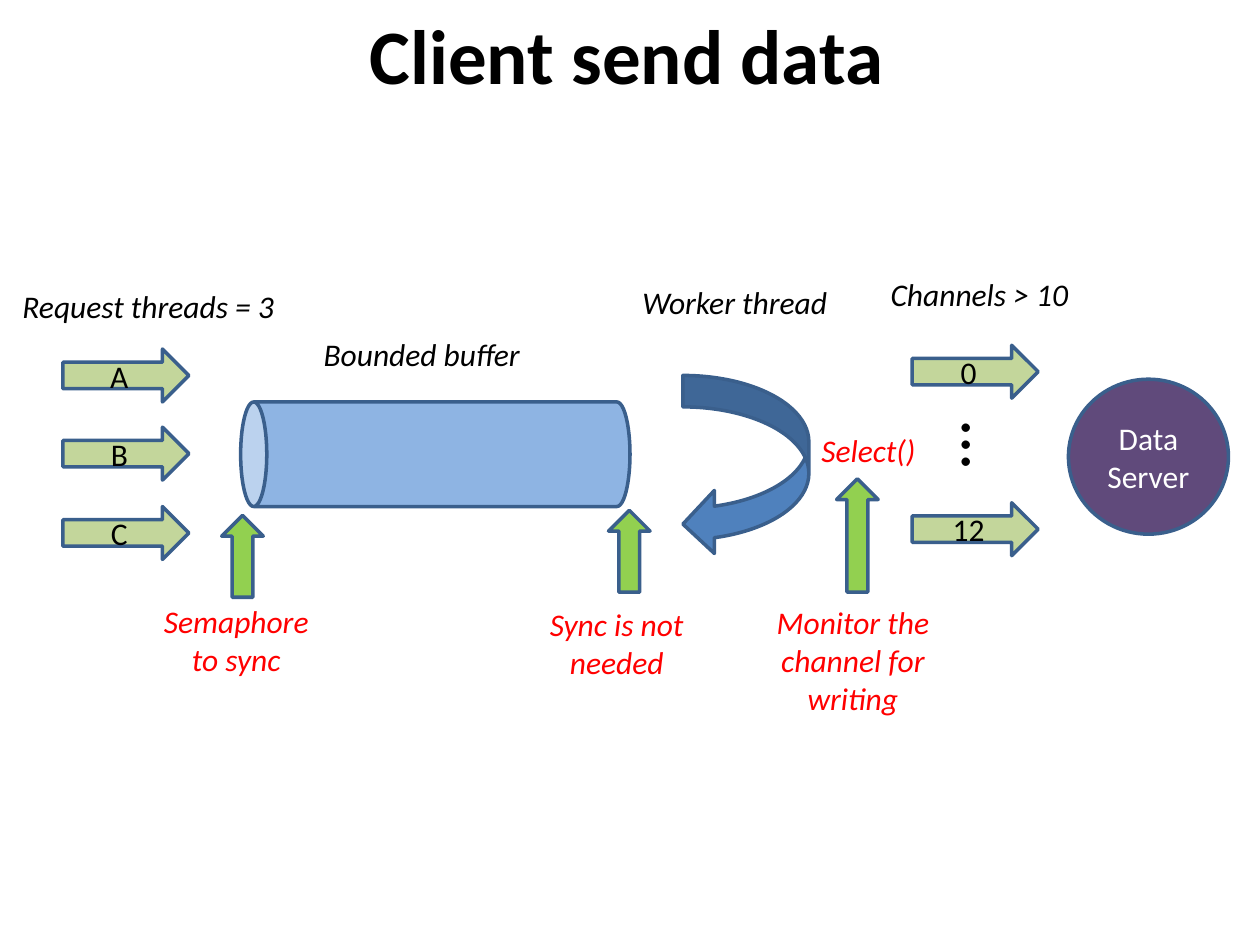
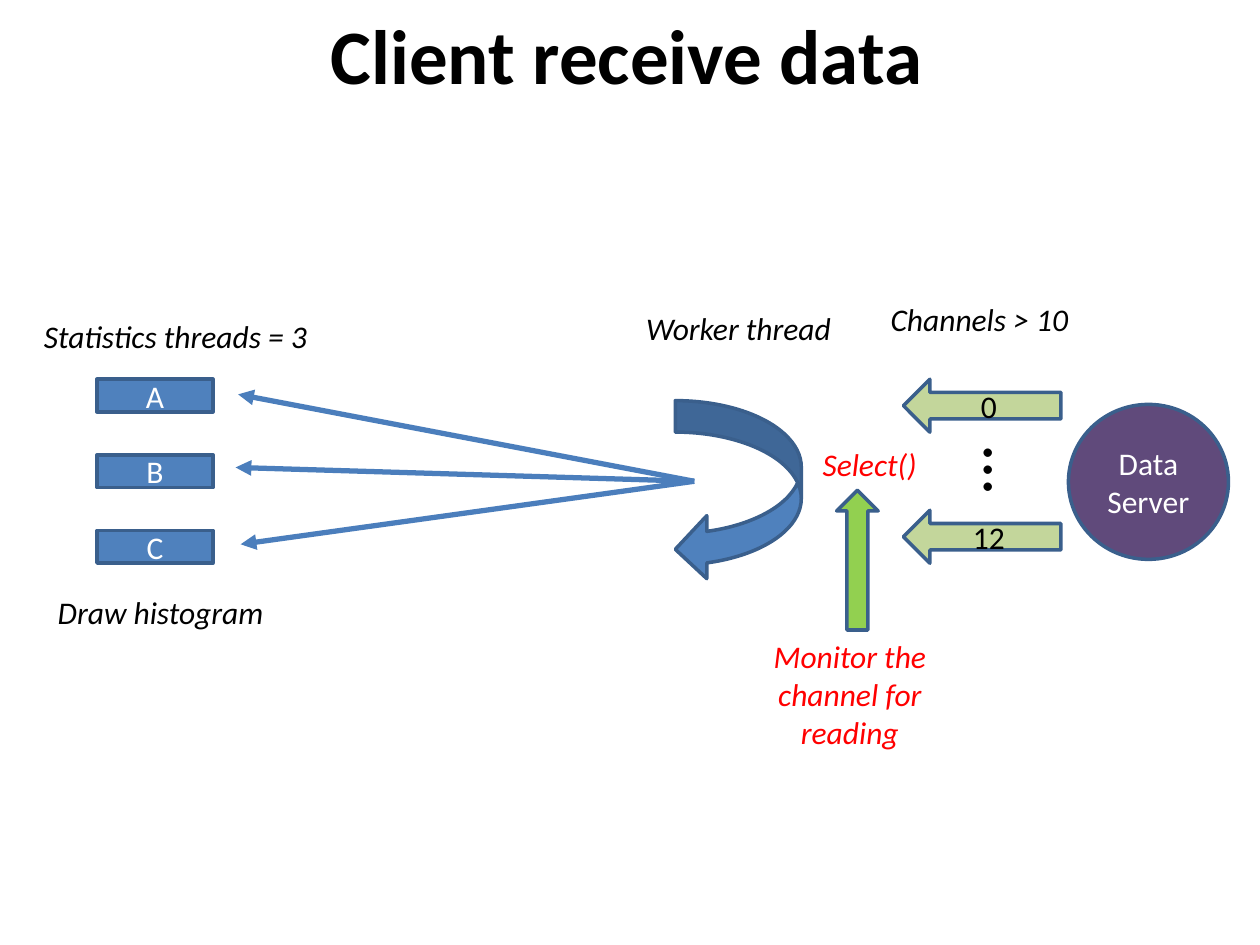
import pptx
import pptx.util
import pptx.dml.color
import pptx.enum.shapes
import pptx.enum.text
import pptx.oxml
import pptx.oxml.ns

PX = 9144
FONT = "Calibri"
BLACK, WHITE, RED = "000000", "FFFFFF", "FF0000"
OUTLINE, BLUE, LINK = "3A5F8C", "4F81BD", "4B7EBC"
OLIVE, LIME, PURPLE, SKY = "C3D69B", "92D050", "604A7B", "8EB4E3"
MSO = pptx.enum.shapes.MSO_SHAPE
ALIGN = pptx.enum.text.PP_ALIGN
ANCHOR = pptx.enum.text.MSO_ANCHOR
NS = pptx.oxml.ns.nsdecls("a")
TITLE_SHADOW = (
    f'<a:effectLst {NS}><a:outerShdw blurRad="38100" dist="38100" dir="2700000" algn="tl">'
    '<a:srgbClr val="000000"><a:alpha val="43000"/></a:srgbClr></a:outerShdw></a:effectLst>'
)


def px(*lengths):
    return [pptx.util.Emu(n * PX) for n in lengths]


def rgb(color):
    return pptx.dml.color.RGBColor.from_string(color)


def write(tf, text, size=18, color=BLACK, bold=False, italic=False,
          align=ALIGN.CENTER, anchor=ANCHOR.MIDDLE, wrap=True, shadow=False):
    tf.word_wrap = wrap
    tf.vertical_anchor = anchor
    for i, line in enumerate(text.split("\n")):
        p = tf.add_paragraph() if i else tf.paragraphs[0]
        p.alignment = align
        r = p.add_run()
        r.text = line
        r.font.name = FONT
        r.font.size = pptx.util.Pt(size)
        r.font.bold, r.font.italic = bold, italic
        r.font.color.rgb = rgb(color)
        if shadow:
            fill = r.font._element.find(pptx.oxml.ns.qn("a:solidFill"))
            fill.addnext(pptx.oxml.parse_xml(TITLE_SHADOW))


def text_box(s, text, x, y, w, h, **style):
    sp = s.shapes.add_textbox(*px(x, y, w, h))
    write(sp.text_frame, text, **style)
    return sp


def label(s, text, x, y, w, color=BLACK):
    text_box(s, text, x, y, w, 40, color=color, italic=True,
             align=ALIGN.LEFT, anchor=ANCHOR.TOP, wrap=False)


def note(s, text, x, y, w, h):
    text_box(s, text, x, y, w, h, color=RED, italic=True, anchor=ANCHOR.TOP)


def shape(s, kind, x, y, w, h, fill, text="", color=BLACK):
    sp = s.shapes.add_shape(kind, *px(x, y, w, h))
    sp.shadow.inherit = False
    sp.fill.solid()
    sp.fill.fore_color.rgb = rgb(fill)
    sp.line.color.rgb = rgb(OUTLINE)
    sp.line.width = pptx.util.Pt(2)
    if text:
        write(sp.text_frame, text, color=color)
    return sp


def pointer(s, x, y, h):
    shape(s, MSO.UP_ARROW, x, y, 33, h, LIME)


def link(s, x1, y1, x2, y2):
    c = s.shapes.add_connector(pptx.enum.shapes.MSO_CONNECTOR.STRAIGHT, *px(x1, y1, x2, y2))
    c.line.color.rgb = rgb(LINK)
    c.line.width = pptx.util.Pt(3)
    c.line._get_or_add_ln().append(pptx.oxml.parse_xml(f'<a:tailEnd {NS} type="triangle"/>'))
    c._element.spPr.append(pptx.oxml.parse_xml(f"<a:effectLst {NS}/>"))


def titled_slide(prs, title):
    s = prs.slides.add_slide(prs.slide_layouts[6])
    text_box(s, title, 17, 2, 961, 81, size=44, bold=True, shadow=True)
    return s


def channels(s, kind, x, w, tops, dots_x):
    for name, y in zip(("0", "12"), tops):
        shape(s, kind, x, y, w, 42, OLIVE, name)
    dots = text_box(s, "…", dots_x, 317 if kind == MSO.RIGHT_ARROW else 337, 84, 77,
                    size=40, italic=True, align=ALIGN.LEFT, anchor=ANCHOR.TOP)
    dots.text_frame.margin_left = px(22)[0]
    dots.rotation = 90


def server_side(s, top, worker_x, worker_label_x):
    label(s, "Worker thread", worker_label_x, top + 7, 174)
    label(s, "Channels > 10", 697, top, 163)
    shape(s, MSO.CURVED_LEFT_ARROW, worker_x, top + 85, 100, 143, BLUE)
    shape(s, MSO.OVAL, 848, top + 88, 127, 123, PURPLE, "Data\nServer", WHITE)


def send_slide(prs):
    s = titled_slide(prs, "Client send data")
    shape(s, MSO.CAN, 304, 206, 83, 309, SKY).rotation = 270
    for i, name in enumerate("ABC"):
        shape(s, MSO.RIGHT_ARROW, 50, 277 + 125 * i // 2, 100, 42, OLIVE, name)
    label(s, "Bounded buffer", 247, 261, 178)
    label(s, "Request threads = 3", 8, 223, 222)
    server_side(s, 213, 542, 500)
    channels(s, MSO.RIGHT_ARROW, 724, 100, (274, 399), 744)
    label(s, "Select()", 642, 337, 96, RED)
    for x, y, h in ((176, 409, 65), (483, 405, 65), (664, 380, 90)):
        pointer(s, x, y, h)
    note(s, "Semaphore to sync", 117, 473, 141, 71)
    note(s, "Sync is not needed", 413, 475, 153, 71)
    note(s, "Monitor the channel for writing", 587, 474, 180, 101)


def receive_slide(prs):
    s = titled_slide(prs, "Client receive data")
    label(s, "Statistics threads = 3", 25, 247, 232)
    for i, name in enumerate("ABC"):
        shape(s, MSO.RECTANGLE, 77, 301 + 60 * i, 92, 26, BLUE, name, WHITE)
    label(s, "Draw histogram", 36, 466, 185)
    server_side(s, 233, 536, 503)
    channels(s, MSO.LEFT_ARROW, 717, 125, (301, 405), 761)
    label(s, "Select()", 643, 348, 96, RED)
    for x, y in ((189, 313), (187, 371), (191, 432)):
        link(s, 551, 382, x, y)
    pointer(s, 664, 389, 111)
    note(s, "Monitor the channel for reading", 604, 501, 141, 101)


def main():
    prs = pptx.Presentation()
    prs.slide_width, prs.slide_height = px(1000, 750)
    send_slide(prs)
    receive_slide(prs)
    prs.save("out.pptx")


if __name__ == "__main__":
    main()
